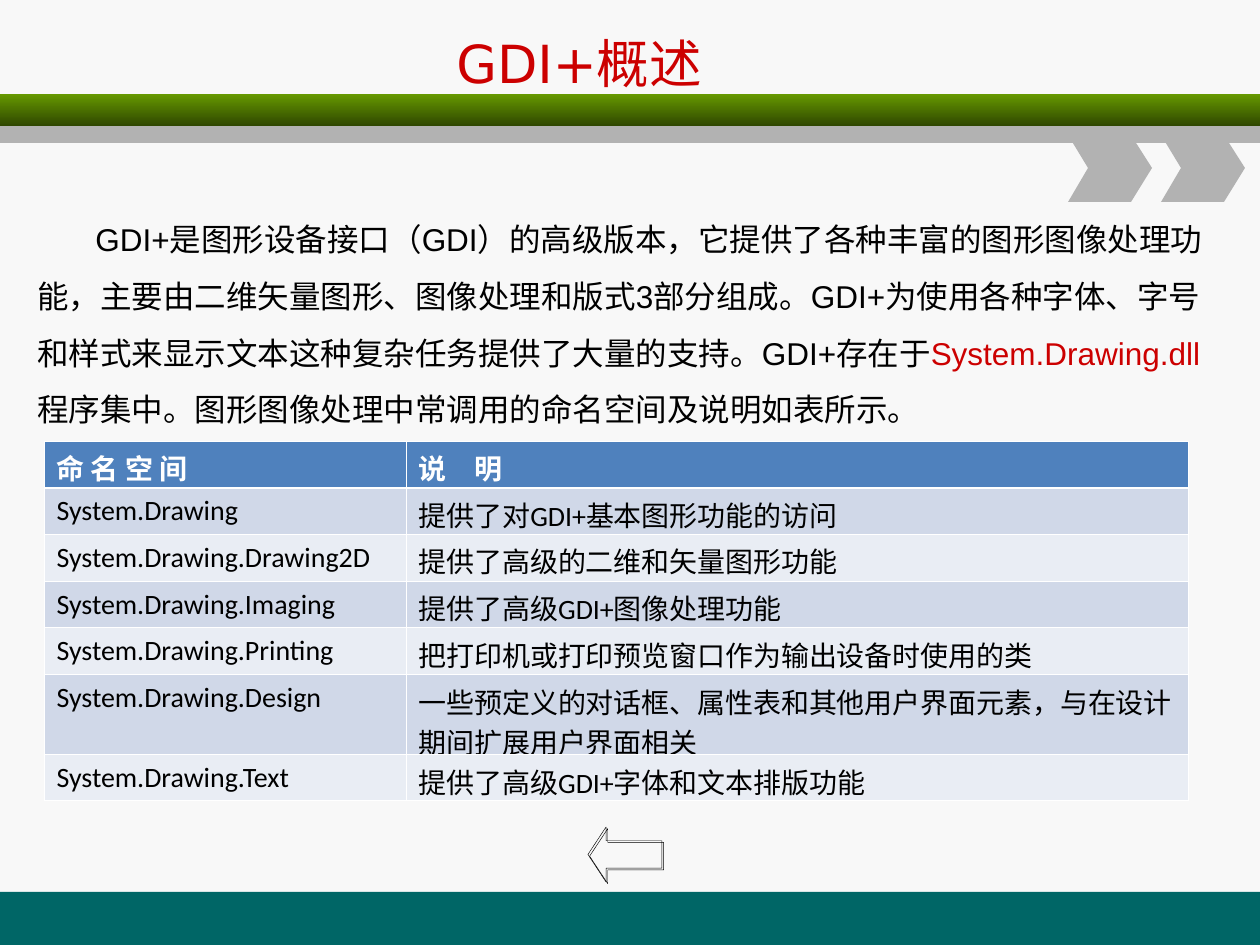
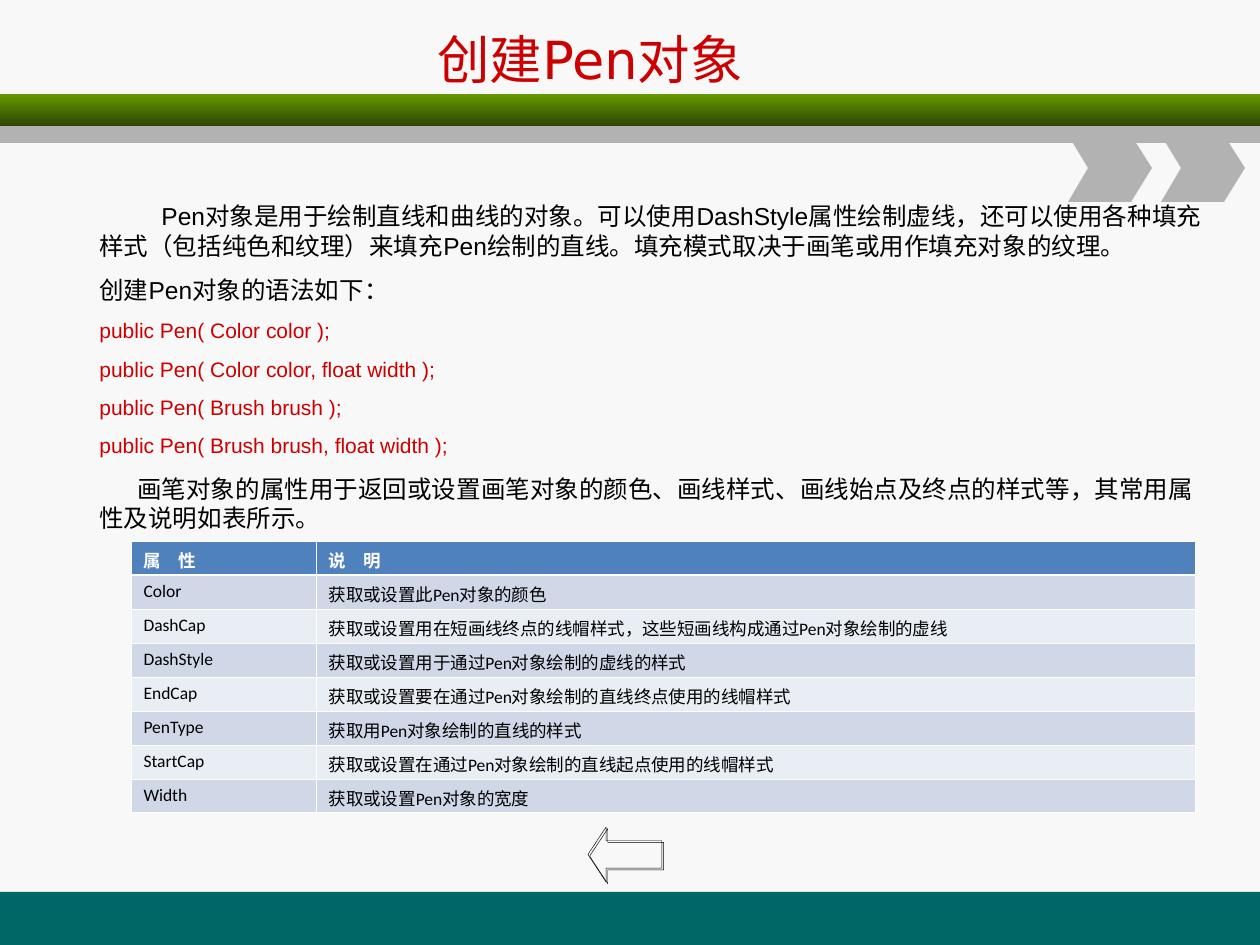
from dataclasses import dataclass

from lxml.etree import SubElement
from pptx import Presentation
from pptx.dml.color import RGBColor
from pptx.enum.lang import MSO_LANGUAGE_ID
from pptx.enum.shapes import MSO_SHAPE
from pptx.enum.text import MSO_ANCHOR
from pptx.oxml.ns import qn
from pptx.util import Pt

PX = 914400 / 126


@dataclass(frozen=True)
class Theme:
    background: str = "F8F8F8"
    footer: str = "006666"
    band_top: str = "669900"
    band_bottom: str = "2F4700"
    grey: str = "B2B2B2"
    accent: str = "CC0000"
    ink: str = "000000"
    white: str = "FFFFFF"
    header: str = "4F81BD"
    stripes: tuple = ("D0D8E8", "E9EDF4")
    title_font: str = "DejaVu Sans"
    body_font: str = "Arial"
    table_font: str = "Calibri"
    title_size: int = 30
    lead_size: int = 18
    body_size: int = 14
    code_size: int = 12
    large_table_size: int = 16
    small_table_size: int = 10
    thin: float = 0.45
    thick: float = 1.47


T = Theme()


@dataclass
class Para:
    """Runs are (text, colour) pairs; the indent applies to the first line."""
    runs: list
    size: int
    indent: int = 0
    before: float = 0
    line: float = 1


def emu(*lengths):
    return [round(n * PX) for n in lengths]


def rgb(value):
    return RGBColor.from_string(value)


def add_run(p, text, font, size, color, bold=False):
    r = p.add_run()
    r.text = text
    f = r.font
    f.name, f.size, f.bold = font, Pt(size), bold
    f.color.rgb = rgb(color)
    f.language_id = MSO_LANGUAGE_ID.SIMPLIFIED_CHINESE


def paint(sp, color):
    sp.shadow.inherit = False
    sp.fill.solid()
    sp.fill.fore_color.rgb = rgb(color)
    sp.line.fill.background()


def add_bar(slide, box, color):
    sp = slide.shapes.add_shape(MSO_SHAPE.RECTANGLE, *emu(*box))
    paint(sp, color)
    return sp


def add_chevron(slide, x, y):
    outline = [(0, 0), (63, 0), (84, 33), (63, 67), (0, 67), (20, 33)]
    builder = slide.shapes.build_freeform(x, y, scale=PX)
    builder.add_line_segments([(x + dx, y + dy) for dx, dy in outline[1:]])
    paint(builder.convert_to_shape(), T.grey)


def add_frame(slide):
    """Background, footer and header bands with the two chevrons."""
    fill = slide.background.fill
    fill.solid()
    fill.fore_color.rgb = rgb(T.background)
    add_bar(slide, (0, 892, 1260, 53), T.footer)
    band = add_bar(slide, (0, 94, 1260, 32), T.band_top)
    band.fill.gradient()
    band.fill.gradient_angle = 270
    stops = zip(band.fill.gradient_stops, (T.band_top, T.band_bottom))
    for position, (stop, color) in enumerate(stops):
        stop.position = position
        stop.color.rgb = rgb(color)
    add_bar(slide, (0, 126, 1260, 17), T.grey)
    for x in (1068, 1161):
        add_chevron(slide, x, 135)


def add_back_arrow(slide):
    sp = slide.shapes.add_shape(MSO_SHAPE.LEFT_ARROW, *emu(588, 827, 74, 55))
    sp.adjustments[0], sp.adjustments[1] = 0.5, 0.33
    sp.fill.background()
    sp.line.color.rgb = rgb(T.ink)
    sp.line.width = Pt(0.25)
    sp.shadow.inherit = False
    effects = sp._element.spPr.find(qn("a:effectLst"))
    shadow = SubElement(effects, qn("a:outerShdw"), blurRad="0",
                        dist=str(Pt(1.4)), dir=str(45 * 60000))
    SubElement(shadow, qn("a:srgbClr"), val=T.ink)


def add_title(slide, box, text):
    tf = slide.shapes.add_textbox(*emu(*box)).text_frame
    tf.word_wrap = True
    tf.vertical_anchor = MSO_ANCHOR.MIDDLE
    add_run(tf.paragraphs[0], text, T.title_font, T.title_size, T.accent)


def add_body(slide, box, paras):
    tf = slide.shapes.add_textbox(*emu(*box)).text_frame
    tf.word_wrap = True
    for i, para in enumerate(paras):
        p = tf.add_paragraph() if i else tf.paragraphs[0]
        p.line_spacing = para.line
        p.space_before = Pt(para.before if i else 0)
        p._p.get_or_add_pPr().set("indent", str(*emu(para.indent)))
        for text, color in para.runs:
            add_run(p, text, T.body_font, para.size, color)


def add_borders(cell, row):
    """White grid, with a heavier rule under the header row."""
    heavy = {0: "lnB", 1: "lnT"}.get(row)
    for side in ("lnL", "lnR", "lnT", "lnB"):
        width = T.thick if side == heavy else T.thin
        ln = SubElement(cell._tc.get_or_add_tcPr(), qn(f"a:{side}"), w=str(Pt(width)))
        fill = SubElement(ln, qn("a:solidFill"))
        SubElement(fill, qn("a:srgbClr"), val=T.white)


def add_grid(slide, at, cols, heights, rows, size):
    box = emu(*at, sum(cols), sum(heights))
    table = slide.shapes.add_table(len(rows), len(cols), *box).table
    for column, width in zip(table.columns, emu(*cols)):
        column.width = width
    for i, (values, height) in enumerate(zip(rows, emu(*heights))):
        table.rows[i].height = height
        head = i == 0
        for cell, text in zip(table.rows[i].cells, values):
            add_borders(cell, i)
            cell.fill.solid()
            cell.fill.fore_color.rgb = rgb(T.header if head else T.stripes[(i - 1) % 2])
            add_run(cell.text_frame.paragraphs[0], text, T.table_font, size,
                    T.white if head else T.ink, head)


def new_slide(prs):
    slide = prs.slides.add_slide(prs.slide_layouts[6])
    add_frame(slide)
    add_back_arrow(slide)
    return slide


def build_overview(prs):
    slide = new_slide(prs)
    add_title(slide, (444, 21, 306, 84), "GDI+概述")
    add_body(slide, (25, 195, 1196, 246), [Para([
        ("GDI+是图形设备接口（GDI）的高级版本，它提供了各种丰富的图形图像处理功能，"
         "主要由二维矢量图形、图像处理和版式3部分组成。GDI+为使用各种字体、"
         "字号和样式来显示文本这种复杂任务提供了大量的支持。GDI+存在于", T.ink),
        ("System.Drawing.dll", T.accent),
        ("程序集中。图形图像处理中常调用的命名空间及说明如表所示。", T.ink),
    ], T.lead_size, indent=58, line=1.5)])
    add_grid(slide, (44, 441), (362, 782), (47, 46, 47, 46, 47, 80, 46), [
        ("命 名 空 间", "说　明"),
        ("System.Drawing", "提供了对GDI+基本图形功能的访问"),
        ("System.Drawing.Drawing2D", "提供了高级的二维和矢量图形功能"),
        ("System.Drawing.Imaging", "提供了高级GDI+图像处理功能"),
        ("System.Drawing.Printing", "把打印机或打印预览窗口作为输出设备时使用的类"),
        ("System.Drawing.Design",
         "一些预定义的对话框、属性表和其他用户界面元素，与在设计期间扩展用户界面相关"),
        ("System.Drawing.Text", "提供了高级GDI+字体和文本排版功能"),
    ], T.large_table_size)


def build_pen(prs):
    slide = new_slide(prs)
    add_title(slide, (425, 16, 374, 84), "创建Pen对象")
    constructors = ["Color color", "Color color, float width",
                    "Brush brush", "Brush brush, float width"]
    add_body(slide, (87, 195, 1129, 348), [
        Para([("Pen对象是用于绘制直线和曲线的对象。可以使用DashStyle属性绘制虚线，"
               "还可以使用各种填充样式（包括纯色和纹理）来填充Pen绘制的直线。"
               "填充模式取决于画笔或用作填充对象的纹理。", T.ink)], T.body_size, indent=62),
        Para([("创建Pen对象的语法如下：", T.ink)], T.body_size, before=8.8),
        *(Para([(f"public Pen( {args} );", T.accent)], T.code_size, before=7.5)
          for args in constructors),
        Para([("画笔对象的属性用于返回或设置画笔对象的颜色、画线样式、"
               "画线始点及终点的样式等，其常用属性及说明如表所示。", T.ink)],
             T.body_size, indent=38, before=8.8),
    ])
    rows = [
        ("属　性", "说　明"),
        ("Color", "获取或设置此Pen对象的颜色"),
        ("DashCap", "获取或设置用在短画线终点的线帽样式，这些短画线构成通过Pen对象绘制的虚线"),
        ("DashStyle", "获取或设置用于通过Pen对象绘制的虚线的样式"),
        ("EndCap", "获取或设置要在通过Pen对象绘制的直线终点使用的线帽样式"),
        ("PenType", "获取用Pen对象绘制的直线的样式"),
        ("StartCap", "获取或设置在通过Pen对象绘制的直线起点使用的线帽样式"),
        ("Width", "获取或设置Pen对象的宽度"),
    ]
    add_grid(slide, (131, 541), (185, 879), [34] * len(rows), rows, T.small_table_size)


def main():
    prs = Presentation()
    prs.slide_width, prs.slide_height = emu(1260, 945)
    build_overview(prs)
    build_pen(prs)
    prs.save("out.pptx")


if __name__ == "__main__":
    main()
